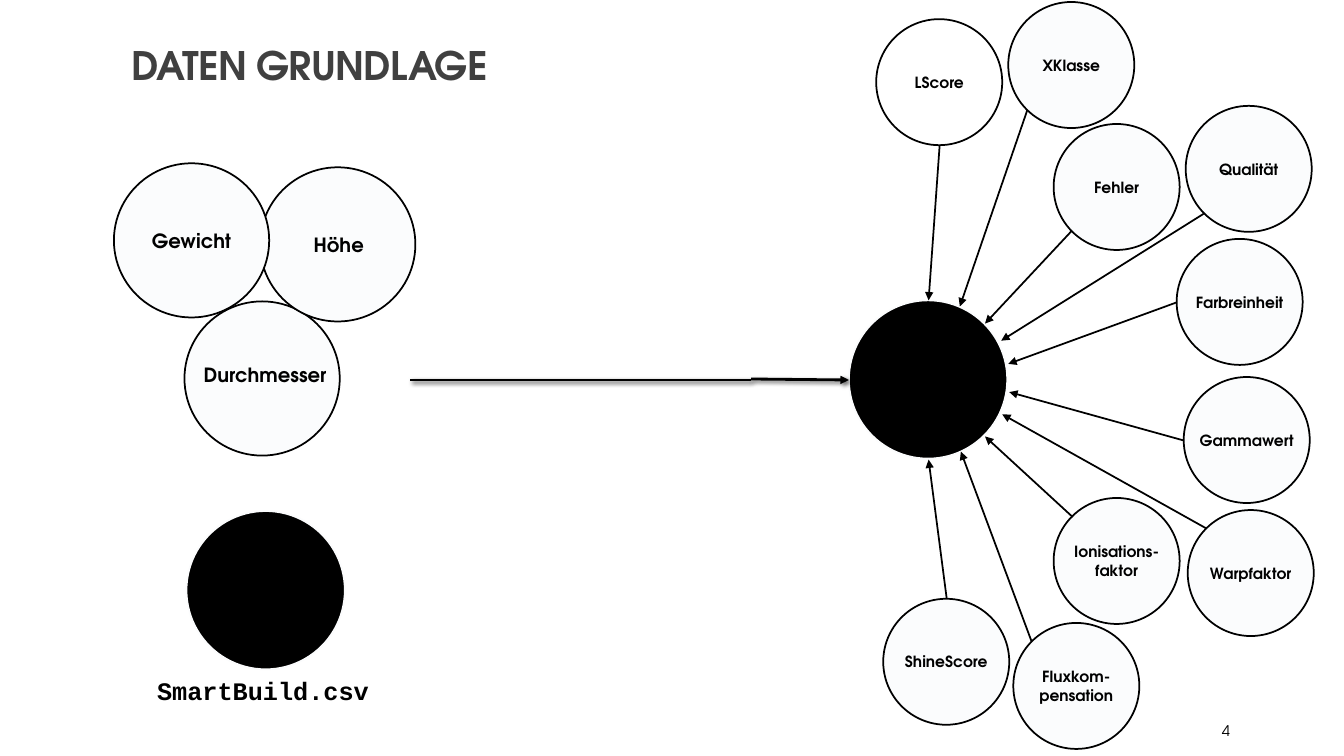
import pptx
import pptx.util
import pptx.dml.color
import pptx.enum.shapes
import pptx.enum.text
import pptx.oxml
import pptx.oxml.ns

PX = 9144  # EMU per px, 100 px to the inch
SANS, MONO = "TeX Gyre Adventor", "Courier New"
BLACK, GREY, PALE, WHITE = "000000", "404040", "FBFCFD", "FFFFFF"

TITLE = ("DATEN GRUNDLAGE", (120, 41, 1100, 64))
PAGE = ("4", (1202, 705, 85, 40))
SOURCE = ("SmartBuild.csv", (146, 665, 235, 40))

# name, left, top, fill
SCORES = [
    ("XKlasse", 1000, 2, PALE),
    ("LScore", 869, 19, WHITE),
    ("Fehler", 1045, 123, PALE),
    ("Qualität", 1176, 105, PALE),
    ("Farbreinheit", 1167, 237, PALE),
    ("Gammawert", 1174, 374, PALE),
    ("Ionisations-faktor", 1045, 494, PALE),
    ("Warpfaktor", 1178, 506, PALE),
    ("Fluxkom-pensation", 1005, 618, PALE),
    ("ShineScore", 876, 594, PALE),
]
# name, left, top, shift of the label from the centre
SIZES = [
    ("Durchmesser", 183, 299, 3, -4),
    ("Höhe", 258, 166, 1, 0),
    ("Gewicht", 113, 162, 0, 0),
]
HUBS = [(842, 298), (185, 507)]
# start x, start y, end x, end y
ARROWS = [
    (932, 144, 921, 298), (1063, 229, 977, 321), (1019, 109, 952, 304),
    (1167, 300, 1000, 361), (1174, 437, 1001, 389), (1064, 513, 977, 433),
    (939, 594, 921, 456), (1023, 636, 953, 448), (1196, 524, 994, 411),
    (1194, 212, 993, 338),
]
FLOW = [((745, 376, 842, 377), True), ((745, 377, 407, 377), False)]

SHADOW = (
    '<a:effectLst %s><a:outerShdw blurRad="38100" dist="25400" dir="2700000">'
    '<a:srgbClr val="000000"><a:alpha val="60000"/></a:srgbClr>'
    "</a:outerShdw></a:effectLst>" % pptx.oxml.ns.nsdecls("a")
)
EMPTY = "<a:effectLst %s/>" % pptx.oxml.ns.nsdecls("a")
HEAD = '<a:tailEnd %s type="triangle"/>' % pptx.oxml.ns.nsdecls("a")

ALIGN = pptx.enum.text.PP_ALIGN
ANCHOR = pptx.enum.text.MSO_ANCHOR


def rgb(code):
    return pptx.dml.color.RGBColor.from_string(code)


def emu(box):
    return [n * PX for n in box]


def write(shape, text, size, font=SANS, color=BLACK, bold=True,
          align=ALIGN.LEFT, anchor=ANCHOR.TOP):
    frame = shape.text_frame
    frame.text = text
    frame.word_wrap = True
    frame.auto_size = pptx.enum.text.MSO_AUTO_SIZE.NONE
    frame.vertical_anchor = anchor
    par = frame.paragraphs[0]
    par.alignment = align
    run = par.runs[0]
    run.font.name, run.font.size = font, pptx.util.Pt(size)
    run.font.bold, run.font.color.rgb = bold, rgb(color)
    return par


def disc(slide, box, fill, line):
    shape = slide.shapes.add_shape(
        pptx.enum.shapes.MSO_SHAPE.OVAL, *emu(box))
    shape.shadow.inherit = False
    shape.fill.solid()
    shape.fill.fore_color.rgb = rgb(fill)
    shape.line.color.rgb = rgb(line)
    shape.line.width = pptx.util.Pt(1.25)


def bubble(slide, name, box, fill, size, dx=0, dy=0):
    """Draw a disc with a label centred on it, moved by dx and dy."""
    disc(slide, box, fill, BLACK)
    left, top, wide, high = box
    label = slide.shapes.add_textbox(
        *emu((left + 5 + dx, top + dy, wide - 10, high)))
    frame = label.text_frame
    frame.margin_left = frame.margin_right = 0
    write(label, name, size, align=ALIGN.CENTER, anchor=ANCHOR.MIDDLE)


def arrow(slide, ends, width, head=True, effect=EMPTY):
    line = slide.shapes.add_connector(
        pptx.enum.shapes.MSO_CONNECTOR.STRAIGHT, *emu(ends))
    line.line.color.rgb = rgb(BLACK)
    line.line.width = pptx.util.Pt(width)
    props = line._element.spPr
    if head:
        props.find(pptx.oxml.ns.qn("a:ln")).append(pptx.oxml.parse_xml(HEAD))
    props.append(pptx.oxml.parse_xml(effect))


def main():
    deck = pptx.Presentation()
    deck.slide_width, deck.slide_height = emu((1333, 750))
    slide = deck.slides.add_slide(deck.slide_layouts[5])

    title = slide.shapes.title
    title.left, title.top, title.width, title.height = emu(TITLE[1])
    par = write(title, TITLE[0], 28, color=GREY)
    par.line_spacing = 0.9
    par.runs[0].font._element.set("spc", "-50")

    page = slide.shapes.add_textbox(*emu(PAGE[1]))
    write(page, PAGE[0], 10.5, bold=False, anchor=ANCHOR.MIDDLE)

    for name, left, top, fill in SCORES:
        bubble(slide, name, (left, top, 125, 125), fill, 11)
    for left, top in HUBS:
        disc(slide, (left, top, 157, 157), BLACK, PALE)
    for ends in ARROWS:
        arrow(slide, ends, 1.25)
    for ends, head in FLOW:
        arrow(slide, ends, 2, head, SHADOW)
    for name, left, top, dx, dy in SIZES:
        bubble(slide, name, (left, top, 154, 153), PALE, 14, dx, dy)

    source = slide.shapes.add_textbox(*emu(SOURCE[1]))
    write(source, SOURCE[0], 18, MONO)

    deck.save("out.pptx")


if __name__ == "__main__":
    main()
